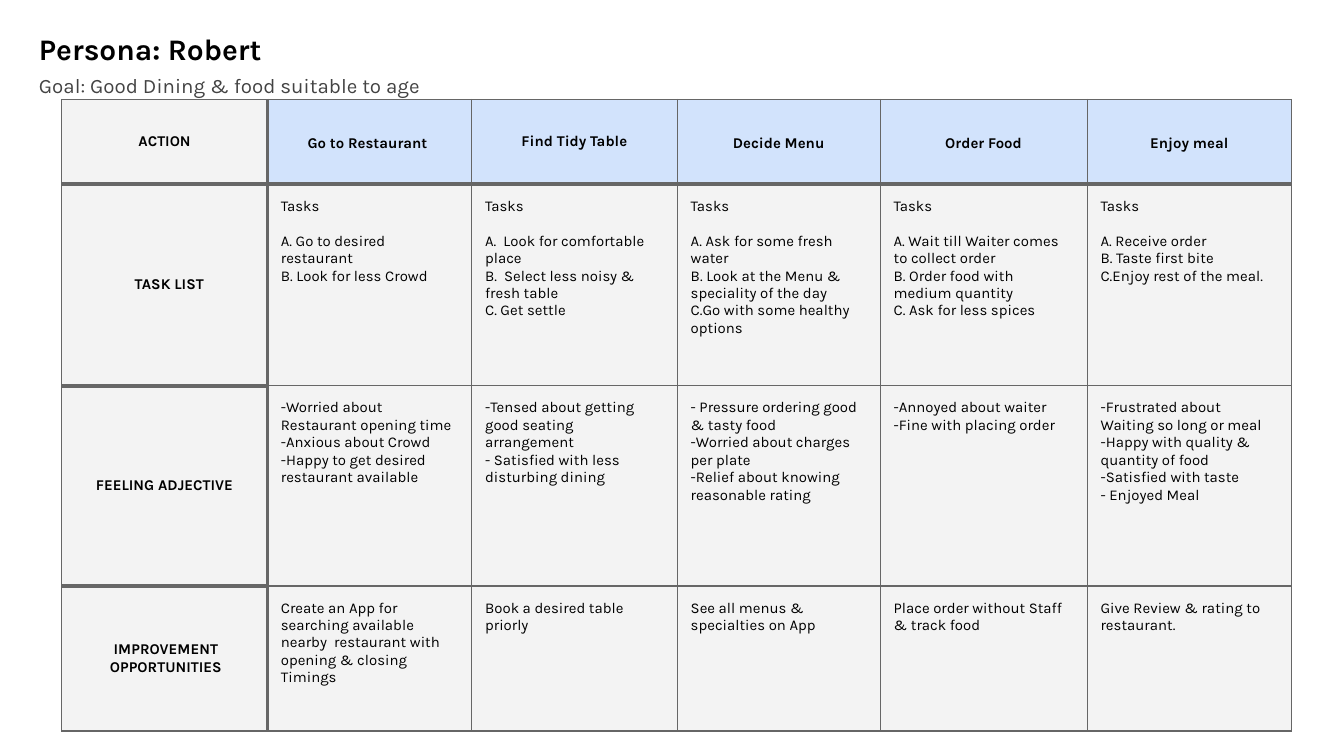
"""Build a customer journey map slide for one persona."""
from lxml.etree import SubElement
from pptx import Presentation
from pptx.dml.color import RGBColor
from pptx.enum.text import MSO_ANCHOR, MSO_AUTO_SIZE, PP_ALIGN
from pptx.oxml.ns import qn
from pptx.util import Inches, Pt

BLACK = RGBColor(0x00, 0x00, 0x00)
DARK_GRAY = RGBColor(0x43, 0x43, 0x43)
BORDER_GRAY = RGBColor(0x66, 0x66, 0x66)
LIGHT_GRAY = RGBColor(0xF3, 0xF3, 0xF3)
LIGHT_BLUE = RGBColor(0xD2, 0xE3, 0xFC)
FONT = "Karla"
MARGIN = Inches(0.1)
THIN, THICK = Pt(0.75), Pt(2.25)

COLUMN_WIDTHS = [1.53, 1.52, 1.53, 1.51, 1.54, 1.52]
ROW_HEIGHTS = [0.63, 1.5, 1.49, 1.08]
LABEL_MARGINS = [0.1, 0.17, 0.1, 0.12]
JOURNEY = [
    ["ACTION", "Go to Restaurant ", "Find Tidy Table", "Decide Menu", "Order Food", "Enjoy meal"],
    [
        "TASK LIST",
        "Tasks\nA. Go to desired restaurant\nB. Look for less Crowd",
        "Tasks\nA.  Look for comfortable place\nB.  Select less noisy & fresh table\nC. Get settle",
        "Tasks\nA. Ask for some fresh water\nB. Look at the Menu & speciality of the day\n"
        "C.Go with some healthy options",
        "Tasks\nA. Wait till Waiter comes to collect order\nB. Order food with medium quantity\n"
        "C. Ask for less spices",
        "Tasks\nA. Receive order\nB. Taste first bite\nC.Enjoy rest of the meal.",
    ],
    [
        "FEELING ADJECTIVE",
        "-Worried about Restaurant opening time\n-Anxious about Crowd\n"
        "-Happy to get desired restaurant available",
        "-Tensed about getting good seating arrangement\n- Satisfied with less disturbing dining",
        "- Pressure ordering good & tasty food\n-Worried about charges per plate\n"
        "-Relief about knowing reasonable rating",
        "-Annoyed about waiter\n-Fine with placing order",
        "-Frustrated about Waiting so long or meal\n-Happy with quality & quantity of food\n"
        "-Satisfied with taste\n- Enjoyed Meal",
    ],
    [
        "IMPROVEMENT OPPORTUNITIES",
        "Create an App for searching available nearby  restaurant with opening & closing Timings",
        "Book a desired table priorly",
        "See all menus & specialties on App",
        "Place order without Staff & track food",
        "Give Review & rating to restaurant.",
    ],
]


def format_runs(paragraph, size, color, bold):
    for run in paragraph.runs:
        run.font.name = FONT
        run.font.size = Pt(size)
        run.font.bold = bold
        run.font.color.rgb = color


def set_borders(cell, widths):
    properties = cell._tc.get_or_add_tcPr()
    for position, (side, width) in enumerate(zip(("lnL", "lnR", "lnT", "lnB"), widths)):
        line = SubElement(properties, qn(f"a:{side}"), w=str(width))
        fill = SubElement(line, qn("a:solidFill"))
        SubElement(fill, qn("a:srgbClr"), val=str(BORDER_GRAY))
        properties.insert(position, line)


presentation = Presentation()
presentation.slide_width = Inches(10)
presentation.slide_height = Inches(10 * 9 / 16)
slide = presentation.slides.add_slide(presentation.slide_layouts[0])

headings = [
    (slide.shapes.title, "Persona: Robert", (0.19, 0.13, 1.95, 0.44), 16, BLACK, True),
    (slide.placeholders[1], "Goal: Good Dining & food suitable to age",
     (0.19, 0.44, 9.28, 0.3), 11, DARK_GRAY, False),
]
for shape, text, box, size, color, bold in headings:
    shape.left, shape.top, shape.width, shape.height = [Inches(length) for length in box]
    text_frame = shape.text_frame
    text_frame.text = text
    text_frame.word_wrap = True
    text_frame.auto_size = MSO_AUTO_SIZE.NONE
    text_frame.vertical_anchor = MSO_ANCHOR.TOP
    text_frame.margin_left = text_frame.margin_right = MARGIN
    text_frame.margin_top = text_frame.margin_bottom = MARGIN
    paragraph = text_frame.paragraphs[0]
    paragraph.alignment = PP_ALIGN.LEFT
    paragraph.space_before = Pt(0)
    format_runs(paragraph, size, color, bold)

table = slide.shapes.add_table(
    len(ROW_HEIGHTS), len(COLUMN_WIDTHS), Inches(0.46), Inches(0.74),
    Inches(sum(COLUMN_WIDTHS)), Inches(sum(ROW_HEIGHTS))
).table
table.first_row = False
table.horz_banding = False
for column, width in zip(table.columns, COLUMN_WIDTHS):
    column.width = Inches(width)
for row, height in zip(table.rows, ROW_HEIGHTS):
    row.height = Inches(height)

last_row = len(ROW_HEIGHTS) - 1
for row_index, row_texts in enumerate(JOURNEY):
    for column_index, text in enumerate(row_texts):
        is_label = column_index == 0
        is_step = row_index == 0 and not is_label
        is_heading = is_label or is_step
        cell = table.cell(row_index, column_index)
        cell.text_frame.text = text
        cell.margin_left = Inches(LABEL_MARGINS[row_index]) if is_label else MARGIN
        cell.margin_right = cell.margin_top = cell.margin_bottom = MARGIN
        cell.vertical_anchor = MSO_ANCHOR.MIDDLE if is_heading else MSO_ANCHOR.TOP
        cell.fill.solid()
        cell.fill.fore_color.rgb = LIGHT_BLUE if is_step else LIGHT_GRAY
        for paragraph in cell.text_frame.paragraphs:
            paragraph.alignment = PP_ALIGN.CENTER if is_heading else PP_ALIGN.LEFT
            if is_step and text != "Find Tidy Table":
                paragraph.line_spacing = 1.15
            if paragraph.text == "Tasks":
                paragraph.space_after = Pt(9.35)
            format_runs(paragraph, 8, BLACK, is_heading)

        thick_top = row_index == 1 or (is_label and row_index > 0)
        thick_bottom = row_index == 0 or (is_label and row_index < last_row)
        thick_sides = (column_index == 1, is_label, thick_top, thick_bottom)
        set_borders(cell, [THICK if thick else THIN for thick in thick_sides])

presentation.save("out.pptx")
